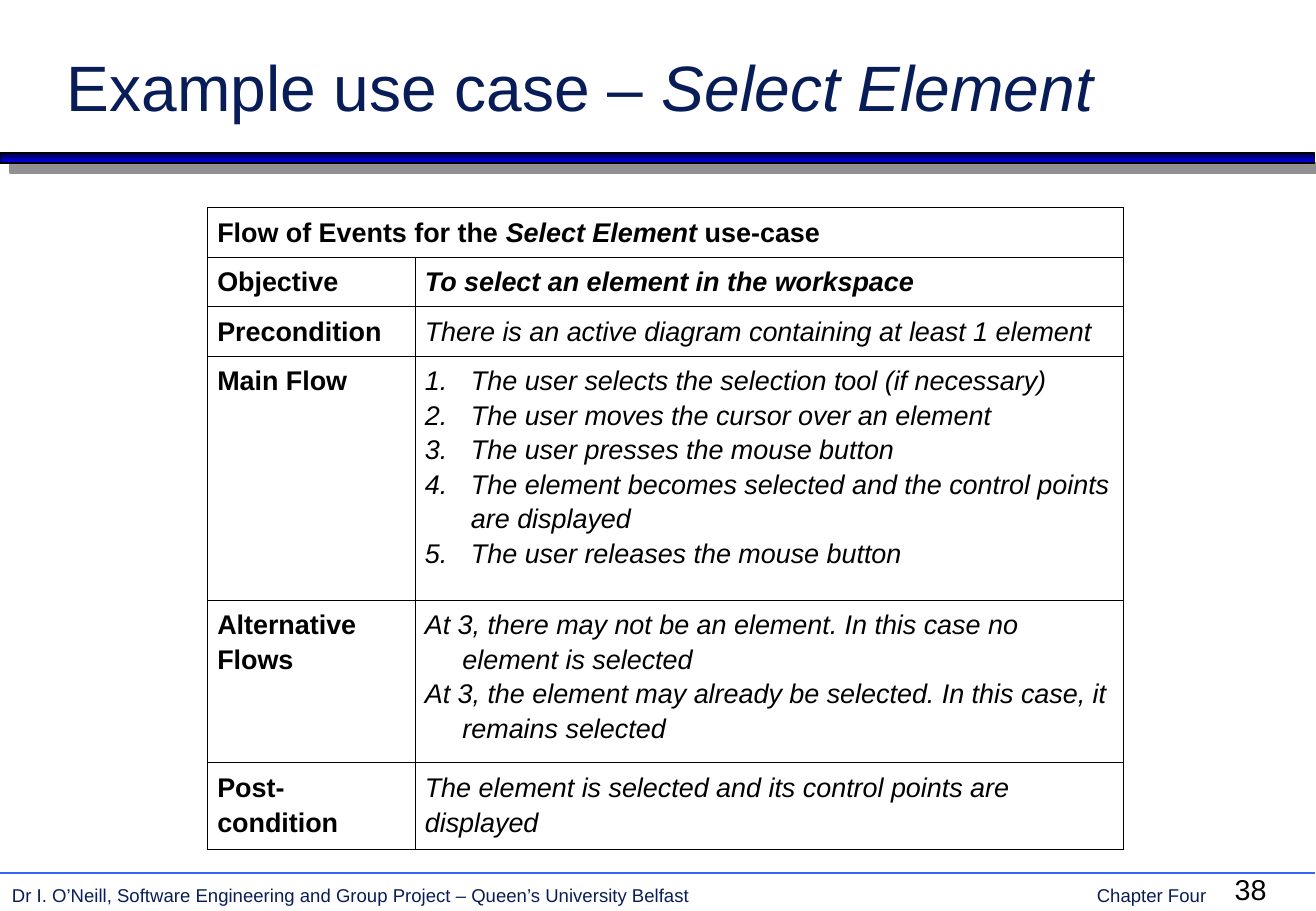
from lxml import etree
from pptx import Presentation
from pptx.dml.color import RGBColor
from pptx.enum.shapes import MSO_CONNECTOR, MSO_SHAPE
from pptx.enum.text import MSO_ANCHOR
from pptx.oxml import parse_xml
from pptx.util import Inches, Pt

RECTANGLE = MSO_SHAPE.RECTANGLE
STRAIGHT = MSO_CONNECTOR.STRAIGHT
TOP, BOTTOM = MSO_ANCHOR.TOP, MSO_ANCHOR.BOTTOM
DRAWING = "http://schemas.openxmlformats.org/drawingml/2006/main"

NAVY, BLACK, LINE_BLUE = "081D58", "000000", "3366FF"
BOLD = {"bold": True}
ITALIC = {"italic": True}
BOLD_ITALIC = {"bold": True, "italic": True}


def color(value):
    return RGBColor.from_string(value)


def add_xml(parent, body):
    """Append one DrawingML element to parent."""
    name = body[1:].replace("/", " ").replace(">", " ").split()[0]
    parent.append(parse_xml(body.replace(name, f'{name} xmlns:a="{DRAWING}"', 1)))


class SlideBuilder:
    font = "Arial"
    line_spacing = 1.15

    def __init__(self, deck):
        self.slide = deck.slides.add_slide(deck.slide_layouts[6])

    def add_spans(self, para, spans, size, ink):
        for text, style in spans:
            span = para.add_run()
            span.text = text
            values = {"name": self.font, "size": Pt(size), **style}
            for key, value in values.items():
                setattr(span.font, key, value)
            span.font.color.rgb = color(ink)

    def text(self, place, spans, size, ink, anchor=TOP, inset=0.1, right_tab=None):
        box = self.slide.shapes.add_textbox(*map(Inches, place))
        layout = {
            "word_wrap": True, "vertical_anchor": anchor,
            "margin_left": Inches(inset), "margin_right": Inches(inset),
            "margin_top": Inches(0.05), "margin_bottom": Inches(0.05),
        }
        for key, value in layout.items():
            setattr(box.text_frame, key, value)
        para = box.text_frame.paragraphs[0]
        if right_tab:
            add_xml(para._p.get_or_add_pPr(),
                    f'<a:tabLst><a:tab pos="{Inches(right_tab)}" algn="r"/></a:tabLst>')
        self.add_spans(para, spans, size, ink)

    def bar(self, place, top_color, bottom_color, shadow_color):
        bar = self.slide.shapes.add_shape(RECTANGLE, *map(Inches, place))
        bar.fill.gradient()
        bar.fill.gradient_angle = 270
        for stop, value in zip(bar.fill.gradient_stops, (top_color, bottom_color)):
            stop.color.rgb = color(value)
        bar.line.color.rgb = color(BLACK)
        bar.line.width = Pt(1)
        bar.shadow.inherit = False
        effects = bar._element.spPr.find(f"{{{DRAWING}}}effectLst")
        add_xml(effects, f'<a:outerShdw dist="{Pt(8.5)}" dir="2700000" algn="ctr" '
                         f'rotWithShape="0"><a:srgbClr val="{shadow_color}"/></a:outerShdw>')

    def line(self, start, end, ink, width):
        line = self.slide.shapes.add_connector(STRAIGHT, *map(Inches, start + end))
        line.line.color.rgb = color(ink)
        line.line.width = Pt(width)
        etree.SubElement(line._element.spPr, f"{{{DRAWING}}}effectLst")

    def cell(self, cell, paras, size, hanging=0, numbered=False):
        margins = {"margin_left": 0.08, "margin_right": 0.08,
                   "margin_top": 0.05, "margin_bottom": 0.05}
        for key, value in margins.items():
            setattr(cell, key, Inches(value))
        for number, spans in enumerate(paras):
            frame = cell.text_frame
            para = frame.add_paragraph() if number else frame.paragraphs[0]
            properties = para._p.get_or_add_pPr()
            properties.set("marL", str(Inches(hanging)))
            properties.set("indent", str(-Inches(hanging)))
            if numbered:
                add_xml(properties, f'<a:buClr><a:srgbClr val="{BLACK}"/></a:buClr>')
                add_xml(properties, '<a:buAutoNum type="arabicPeriod"/>')
            para.line_spacing = self.line_spacing
            self.add_spans(para, spans, size, BLACK)

    def table(self, place, widths, heights, rows, size):
        frame = self.slide.shapes.add_table(len(rows), len(widths), *map(Inches, place))
        table = frame.table
        table.first_row = table.horz_banding = False
        for column, width in zip(table.columns, widths):
            column.width = Inches(width)
        for row, height in zip(table.rows, heights):
            row.height = Inches(height)
        for cell in table.iter_cells():
            for side in "LRTB":
                add_xml(cell._tc.get_or_add_tcPr(),
                        f'<a:ln{side} w="{Pt(0.45)}"><a:solidFill>'
                        f'<a:srgbClr val="{BLACK}"/></a:solidFill></a:ln{side}>')
            cell.fill.background()
        for row_number, row in enumerate(rows):
            if len(row) == 1:
                table.cell(row_number, 0).merge(table.cell(row_number, len(widths) - 1))
            for column_number, content in enumerate(row):
                self.cell(table.cell(row_number, column_number), size=size, **content)


def label(text):
    return {"paras": [[(text, BOLD)]]}


def detail(*texts, style=ITALIC, **layout):
    return {"paras": [[(text, style)] for text in texts], **layout}


USE_CASE = [
    [{"paras": [[("Flow of Events for the ", BOLD), ("Select Element", BOLD_ITALIC),
                 (" use-case", BOLD)]]}],
    [label("Objective"),
     detail("To select an element in the workspace", style=BOLD_ITALIC)],
    [label("Precondition"),
     detail("There is an active diagram containing at least 1 element")],
    [label("Main Flow"),
     detail("The user selects the selection tool (if necessary)",
            "The user moves the cursor over an element",
            "The user presses the mouse button",
            "The element becomes selected and the control points are displayed",
            "The user releases the mouse button",
            hanging=0.38, numbered=True)],
    [label("Alternative Flows"),
     detail("At 3, there may not be an element. In this case no element is selected",
            "At 3, the element may already be selected. In this case, it remains selected",
            hanging=0.31)],
    [label("Post-condition"),
     detail("The element is selected and its control points are displayed")],
]


def main():
    deck = Presentation()
    deck.slide_width, deck.slide_height = Inches(10.84), Inches(7.5)
    page = SlideBuilder(deck)

    # Footer
    page.text((0, 7.23, 10.13, 0.29),
              [("Dr I. O’Neill, Software Engineering and Group Project – "
                "Queen’s University Belfast\tChapter Four", {})],
              11, NAVY, right_tab=9.84)
    page.line((0, 7.19), (10.83, 7.19), LINE_BLUE, 1)
    page.text((10.06, 7.13, 0.54, 0.37), [("38", {})], 17, BLACK, inset=0.11)

    # Title and rule
    page.bar((0, 1.26, 10.83, 0.08), "000036", "0000FF", "919191")
    page.text((0.45, 0.29, 9.25, 0.78),
              [("Example use case – ", {}), ("Select Element", ITALIC)],
              38, NAVY, anchor=BOTTOM)

    # Use case table
    page.table((1.71, 1.71, 7.54, 5.01), (1.71, 5.83),
               (0.33, 0.34, 0.33, 2.01, 1.34, 0.67), USE_CASE, 16)

    deck.save("out.pptx")


if __name__ == "__main__":
    main()
